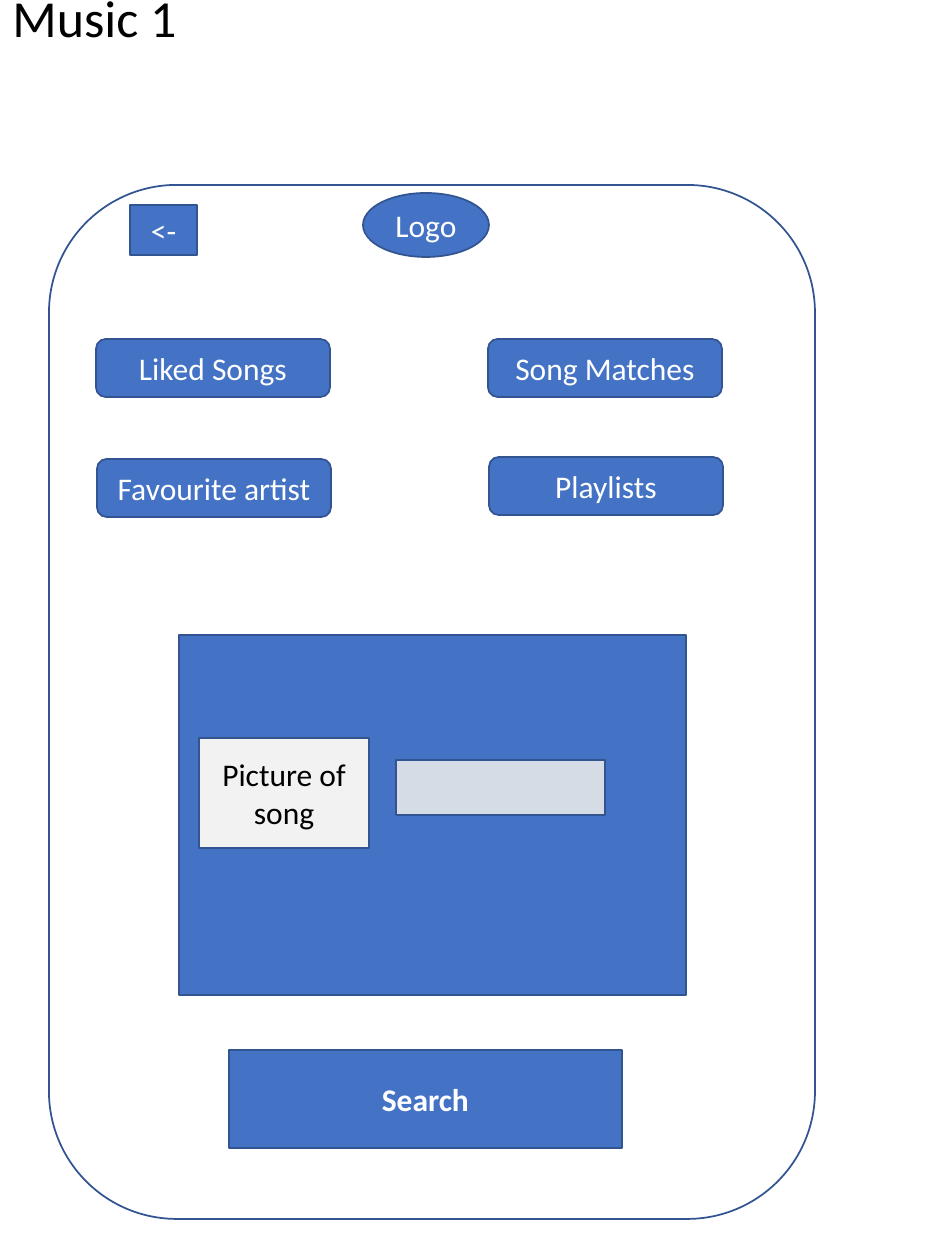
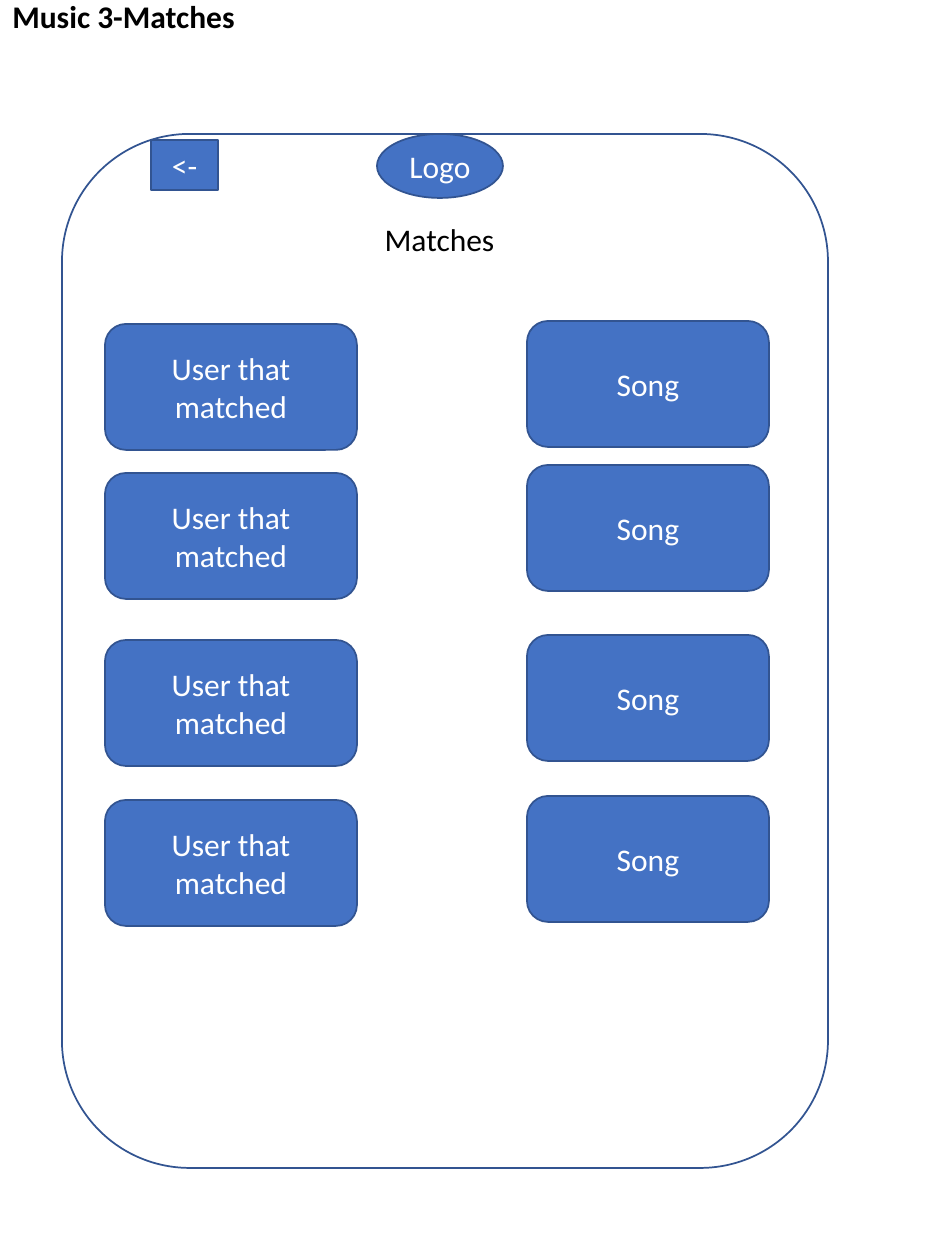
from pptx import Presentation
from pptx import util as u
from pptx.dml.color import RGBColor
from pptx.enum import shapes, text

BLUE = RGBColor(0x44, 0x72, 0xC4)
EDGE = RGBColor(0x32, 0x54, 0x91)
WHITE = RGBColor(0xFF, 0xFF, 0xFF)
BLACK = RGBColor(0, 0, 0)
PALE = RGBColor(0xF2, 0xF2, 0xF2)
GREY = RGBColor(0xD6, 0xDC, 0xE5)

RECT = shapes.MSO_SHAPE.RECTANGLE
ROUND = shapes.MSO_SHAPE.ROUNDED_RECTANGLE
OVAL = shapes.MSO_SHAPE.OVAL

PX_PER_INCH = 126
FONT = "Calibri"
FRAME, LOGO, BACK = (766, 1034), (126, 64), (67, 50)
MENU, USER, SONG = (234, 58), (252, 126), (242, 126)
USER_X, SONG_X = 105, 527

MENU_BUTTONS = [
    ("Liked Songs", 96, 339),
    ("Song Matches", 488, 339),
    ("Favourite artist", 97, 459),
    ("Playlists", 489, 457),
]
MATCH_ROWS = [(324, 321), (473, 465), (640, 635), (800, 796)]

SCREENS = [
    {
        "title": ("Music 1", (0, 1, 199, 39), {"size": u.Pt(29.7)}),
        "frame": (49, 185), "logo": (363, 193), "back": (130, 205),
        "labels": [],
        "parts": [(ROUND, (x, y, *MENU), name, {}) for name, x, y in MENU_BUTTONS] + [
            (RECT, (179, 635, 507, 360), "", {}),
            (RECT, (199, 738, 170, 110), "Picture of song", {"fill": PALE, "color": BLACK}),
            (RECT, (396, 760, 209, 55), "", {"fill": GREY}),
            (RECT, (229, 1050, 393, 98), "Search", {"bold": True}),
        ],
    },
    {
        "title": ("Music 3-Matches", (0, 1, 252, 34), {"bold": True}),
        "frame": (62, 134), "logo": (377, 134), "back": (151, 140),
        "labels": [("Matches", (282, 214, 315, 50))],
        "parts": [part for user_y, song_y in MATCH_ROWS for part in (
            (ROUND, (USER_X, user_y, *USER), "User that matched", {}),
            (ROUND, (SONG_X, song_y, *SONG), "Song", {}),
        )],
    },
]


def px(n):
    return u.Emu(round(n * u.Inches(1) / PX_PER_INCH))


def write(sp, words, color, align, anchor, spacing=1.0, **fmt):
    tf = sp.text_frame
    tf.word_wrap = True
    tf.vertical_anchor = anchor
    p = tf.paragraphs[0]
    p.alignment = align
    p.line_spacing = spacing
    r = p.add_run()
    r.text = words
    r.font.color.rgb = color
    for key, value in {"name": FONT, "size": u.Pt(18), **fmt}.items():
        setattr(r.font, key, value)


def add_text(s, words, box, align, anchor, **fmt):
    sp = s.shapes.add_textbox(*map(px, box))
    write(sp, words, BLACK, align, anchor, **fmt)


def add_part(s, kind, box, words="", fill=BLUE, color=WHITE, **fmt):
    sp = s.shapes.add_shape(kind, *map(px, box))
    sp.shadow.inherit = False
    sp.fill.solid()
    sp.fill.fore_color.rgb = fill
    sp.line.color.rgb = EDGE
    sp.line.width = u.Pt(1)
    if words:
        write(sp, words, color, text.PP_ALIGN.CENTER, text.MSO_ANCHOR.MIDDLE, **fmt)


def add_screen(prs, screen):
    s = prs.slides.add_slide(prs.slide_layouts[6])
    words, box, fmt = screen["title"]
    add_text(s, words, box, text.PP_ALIGN.LEFT, text.MSO_ANCHOR.MIDDLE, spacing=0.9, **fmt)
    add_part(s, ROUND, screen["frame"] + FRAME, fill=WHITE)
    for kind, box, words, fmt in screen["parts"]:
        add_part(s, kind, box, words, **fmt)
    add_part(s, OVAL, screen["logo"] + LOGO, "Logo")
    add_part(s, RECT, screen["back"] + BACK, "<-")
    for words, box in screen["labels"]:
        add_text(s, words, box, text.PP_ALIGN.CENTER, text.MSO_ANCHOR.TOP)


def main():
    prs = Presentation()
    prs.slide_width, prs.slide_height = px(945), px(1260)
    for screen in SCREENS:
        add_screen(prs, screen)
    prs.save("out.pptx")


if __name__ == "__main__":
    main()
